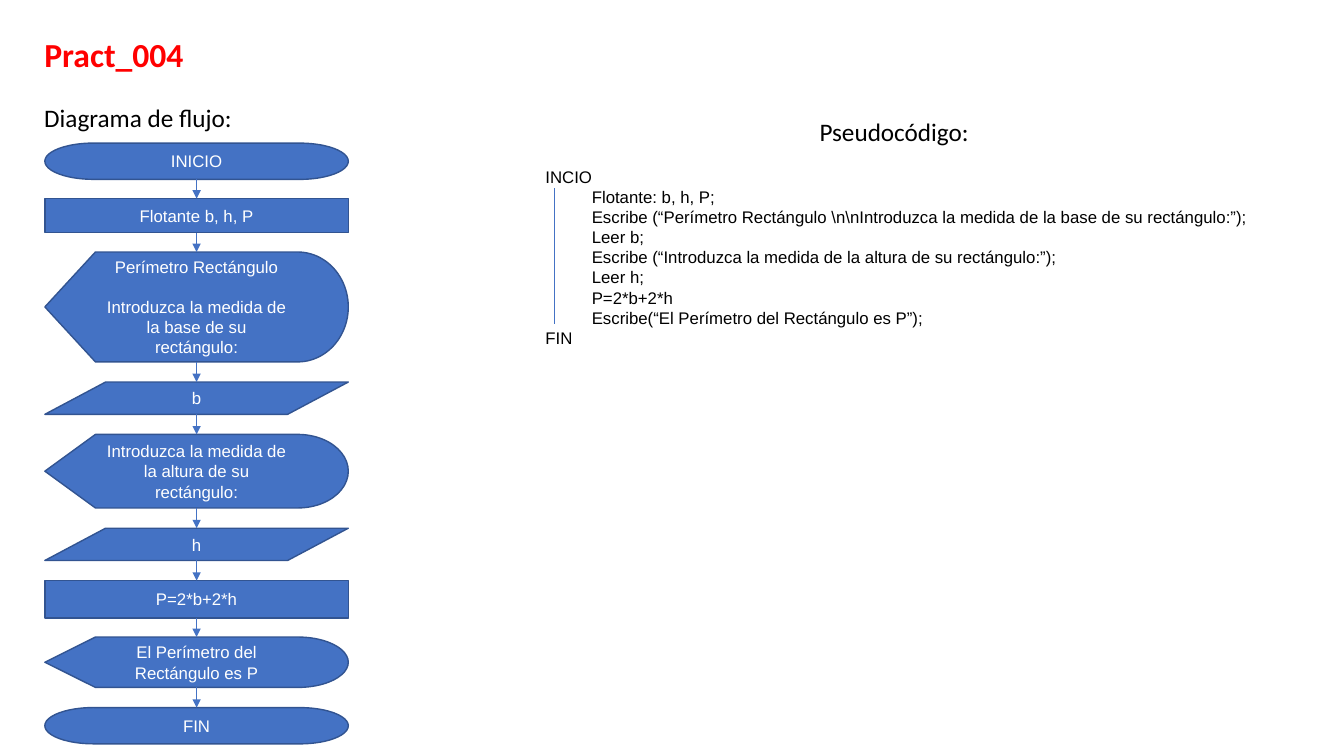
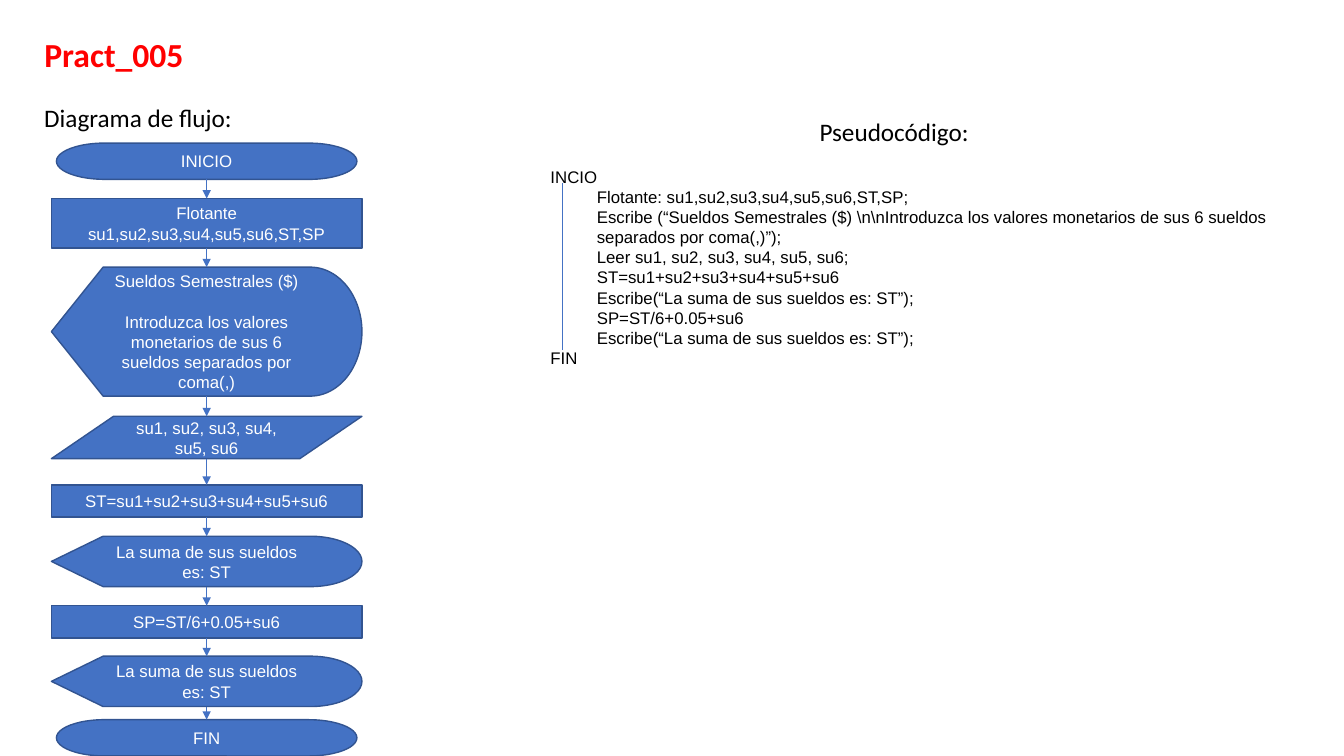
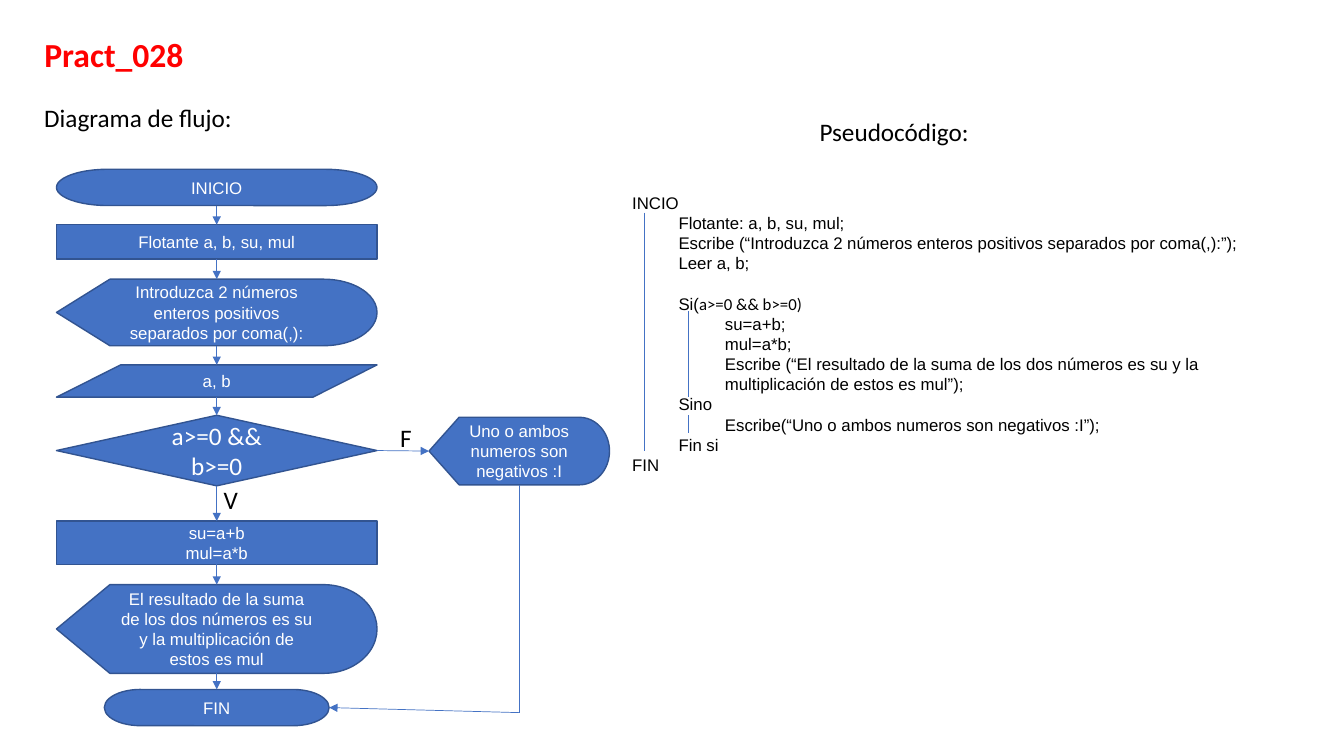
from dataclasses import dataclass
from itertools import pairwise

from lxml import etree
from pptx import Presentation
from pptx import util as u
from pptx.dml.color import RGBColor
from pptx.enum import shapes, text
from pptx.oxml.ns import qn

Kind = shapes.MSO_SHAPE
START_END = Kind.FLOWCHART_TERMINATOR
PROCESS = Kind.RECTANGLE
DISPLAY = Kind.FLOWCHART_DISPLAY
DATA = Kind.FLOWCHART_DATA
DECISION = Kind.FLOWCHART_DECISION
TOP, LEFT, BOTTOM, RIGHT = range(4)


@dataclass(frozen=True)
class Theme:
    red: RGBColor = RGBColor(0xFF, 0x00, 0x00)
    black: RGBColor = RGBColor(0x00, 0x00, 0x00)
    white: RGBColor = RGBColor(0xFF, 0xFF, 0xFF)
    blue: RGBColor = RGBColor(0x44, 0x72, 0xC4)
    outline: RGBColor = RGBColor(0x32, 0x54, 0x91)
    heading_font: str = "Calibri"
    code_font: str = "Arial"
    title_size: float = 24
    heading_size: float = 18
    code_size: float = 12
    blank_line: float = 14.4
    indent: float = 0.46


class Practice:
    """Builds practice slides with a flowchart and its pseudocode."""

    def __init__(self, deck, theme):
        self.deck, self.theme, self.slide = deck, theme, None

    def start(self, name):
        self.slide = self.deck.slides.add_slide(self.deck.slide_layouts[1])
        title = self.slide.shapes.title
        self.place(title, 0.34, 0.29, 3.4, 0.5)
        frame = self.frame(title)
        frame.paragraphs[0].alignment = text.PP_ALIGN.LEFT
        self.run(frame.paragraphs[0], name, self.theme.title_size,
                 self.theme.red, self.theme.heading_font, bold=True)
        self.label("Diagrama de flujo:", 0.34, 0.97)
        self.label("Pseudocódigo:", 8.03, 1.1)

    def place(self, part, left, top, width, height):
        part.left, part.top = u.Inches(left), u.Inches(top)
        part.width, part.height = u.Inches(width), u.Inches(height)

    def frame(self, part, anchor=text.MSO_ANCHOR.TOP):
        frame = part.text_frame
        frame.word_wrap = True
        frame.auto_size = text.MSO_AUTO_SIZE.NONE
        frame.vertical_anchor = anchor
        return frame

    def run(self, paragraph, words, size, color, font, bold=False):
        run = paragraph.add_run()
        run.text = words
        run.font.size, run.font.name = u.Pt(size), font
        run.font.bold, run.font.color.rgb = bold, color

    def paragraph(self, frame, index):
        return frame.add_paragraph() if index else frame.paragraphs[0]

    def label(self, words, left, top, width=4.47):
        box = self.slide.shapes.add_textbox(
            u.Inches(left), u.Inches(top), u.Inches(width), u.Inches(0.4))
        self.run(self.frame(box).paragraphs[0], words, self.theme.heading_size,
                 self.theme.black, self.theme.heading_font)

    def step(self, kind, center, top, width, height, lines, gap=0):
        step = self.slide.shapes.add_shape(
            kind, u.Inches(center - width / 2), u.Inches(top),
            u.Inches(width), u.Inches(height))
        step.shadow.inherit = False
        step.fill.solid()
        step.fill.fore_color.rgb = self.theme.blue
        step.line.color.rgb, step.line.width = self.theme.outline, u.Pt(1)
        size, font = self.theme.code_size, self.theme.code_font
        if kind == DECISION:
            size, font = self.theme.heading_size, self.theme.heading_font
        frame = self.frame(step, text.MSO_ANCHOR.MIDDLE)
        for index, words in enumerate(lines):
            paragraph = self.paragraph(frame, index)
            paragraph.alignment = text.PP_ALIGN.CENTER
            paragraph.space_before = u.Pt(gap if index else 0)
            self.run(paragraph, words, size, self.theme.white, font)
        return step

    def line(self, start, end, arrow=False):
        line = self.slide.shapes.add_connector(
            shapes.MSO_CONNECTOR.STRAIGHT, *map(u.Inches, start + end))
        line.line.color.rgb, line.line.width = self.theme.blue, u.Pt(0.5)
        etree.SubElement(line._element.spPr, qn("a:effectLst"))
        if arrow:
            etree.SubElement(line.line._get_or_add_ln(), qn("a:tailEnd"), type="triangle")
        return line

    def side(self, step, site):
        x = step.left + step.width * {LEFT: 0, RIGHT: 1}.get(site, 0.5)
        y = step.top + step.height * {TOP: 0, BOTTOM: 1}.get(site, 0.5)
        return u.Emu(int(x)).inches, u.Emu(int(y)).inches

    def arrow(self, source, target, leave=BOTTOM, enter=TOP):
        arrow = self.line(self.side(source, leave), self.side(target, enter), True)
        if source.auto_shape_type != DATA:
            arrow.begin_connect(source, leave)
        if target.auto_shape_type != DATA:
            arrow.end_connect(target, enter)

    def flow(self, center, width, steps, end_width=None):
        chain = []
        for kind, top, height, *lines in steps:
            span = end_width if end_width and kind == START_END else width
            gap = self.theme.blank_line if kind == DISPLAY else 0
            chain.append(self.step(kind, center, top, span, height, lines, gap))
        for source, target in pairwise(chain):
            self.arrow(source, target)
        return chain

    def code(self, left, top, width, height, lines):
        listing = self.slide.placeholders[1]
        self.place(listing, left, top, width, height)
        frame = self.frame(listing)
        for index, (level, words, *condition) in enumerate(lines):
            paragraph = self.paragraph(frame, index)
            gap = self.theme.blank_line if condition else 0
            paragraph.space_before = u.Pt(gap)
            properties = paragraph._p.get_or_add_pPr()
            properties.set("marL", str(u.Inches(level * self.theme.indent)))
            properties.set("indent", "0")
            etree.SubElement(properties, qn("a:buNone"))
            self.run(paragraph, words, self.theme.code_size,
                     self.theme.black, self.theme.code_font)
            for test in condition:
                self.run(paragraph, test, self.theme.code_size,
                         self.theme.black, self.theme.heading_font)


def rectangle_perimeter(page):
    page.start("Pract_004")
    page.flow(1.95, 3.01, [
        (START_END, 1.42, 0.36, "INICIO"),
        (PROCESS, 1.97, 0.34, "Flotante b, h, P"),
        (DISPLAY, 2.5, 1.09, "Perímetro Rectángulo",
         "Introduzca la medida de la base de su rectángulo:"),
        (DATA, 3.79, 0.32, "b"),
        (DISPLAY, 4.31, 0.73, "Introduzca la medida de la altura de su rectángulo:"),
        (DATA, 5.24, 0.32, "h"),
        (PROCESS, 5.76, 0.37, "P=2*b+2*h"),
        (DISPLAY, 6.32, 0.5, "El Perímetro del Rectángulo es P"),
        (START_END, 7.02, 0.36, "FIN"),
    ])
    page.code(5.31, 1.6, 7.77, 1.92, [
        (0, "INCIO"),
        (1, "Flotante: b, h, P;"),
        (1, "Escribe (“Perímetro Rectángulo \\n\\nIntroduzca la medida de la base "
            "de su rectángulo:”);"),
        (1, "Leer b;"),
        (1, "Escribe (“Introduzca la medida de la altura de su rectángulo:”);"),
        (1, "Leer h;"),
        (1, "P=2*b+2*h"),
        (1, "Escribe(“El Perímetro del Rectángulo es P”);"),
        (0, "FIN"),
    ])
    page.line((5.5, 1.87), (5.5, 3.21))


def half_year_salaries(page):
    page.start("Pract_005")
    page.flow(2.05, 3.08, [
        (START_END, 1.42, 0.36, "INICIO"),
        (PROCESS, 1.97, 0.49, "Flotante su1,su2,su3,su4,su5,su6,ST,SP"),
        (DISPLAY, 2.65, 1.28, "Sueldos Semestrales ($)",
         "Introduzca los valores monetarios de sus 6 sueldos separados por coma(,)"),
        (DATA, 4.13, 0.42, "su1, su2, su3, su4, su5, su6"),
        (PROCESS, 4.81, 0.32, "ST=su1+su2+su3+su4+su5+su6"),
        (DISPLAY, 5.32, 0.5, "La suma de sus sueldos es: ST"),
        (PROCESS, 6.01, 0.32, "SP=ST/6+0.05+su6"),
        (DISPLAY, 6.51, 0.5, "La suma de sus sueldos es: ST"),
        (START_END, 7.14, 0.36, "FIN"),
    ], end_width=2.98)
    page.code(5.36, 1.6, 7.77, 2.12, [
        (0, "INCIO"),
        (1, "Flotante: su1,su2,su3,su4,su5,su6,ST,SP;"),
        (1, "Escribe (“Sueldos Semestrales ($) \\n\\nIntroduzca los valores "
            "monetarios de sus 6 sueldos"),
        (1, "separados por coma(,)”);"),
        (1, "Leer su1, su2, su3, su4, su5, su6;"),
        (1, "ST=su1+su2+su3+su4+su5+su6"),
        (1, "Escribe(“La suma de sus sueldos es: ST”);"),
        (1, "SP=ST/6+0.05+su6"),
        (1, "Escribe(“La suma de sus sueldos es: ST”);"),
        (0, "FIN"),
    ])
    page.line((5.58, 1.82), (5.58, 3.47))


def sum_and_product(page):
    page.start("Pract_028")
    *_, test, _, _ = before_end = page.flow(2.15, 3.18, [
        (PROCESS, 2.23, 0.34, "Flotante a, b, su, mul"),
        (DISPLAY, 2.77, 0.66,
         "Introduzca 2 números enteros positivos separados por coma(,):"),
        (DATA, 3.62, 0.32, "a, b"),
        (DECISION, 4.12, 0.7, "a>=0 && b>=0"),
        (PROCESS, 5.17, 0.43, "su=a+b", "mul=a*b"),
        (DISPLAY, 5.8, 0.88, "El resultado de la suma de los dos números es su "
                             "y la multiplicación de estos es mul"),
    ])
    start = page.step(START_END, 2.15, 1.68, 3.18, 0.36, ["INICIO"])
    end = page.step(START_END, 2.15, 6.84, 2.23, 0.36, ["FIN"])
    page.arrow(start, before_end[0])
    page.arrow(before_end[-1], end)
    negative = page.step(DISPLAY, 5.15, 4.14, 1.79, 0.67,
                         ["Uno o ambos numeros son negativos :I"])
    page.arrow(test, negative, RIGHT, LEFT)
    corner = (5.15, 7.07)
    page.line(page.side(negative, BOTTOM), corner).begin_connect(negative, BOTTOM)
    page.line(corner, page.side(end, RIGHT), True).end_connect(end, RIGHT)
    page.label("F", 3.87, 4.14, 0.26)
    page.label("V", 2.12, 4.76, 0.26)
    page.code(6.17, 1.86, 7.03, 2.93, [
        (0, "INCIO"),
        (1, "Flotante: a, b, su, mul;"),
        (1, "Escribe (“Introduzca 2 números enteros positivos separados por coma(,):”);"),
        (1, "Leer a, b;"),
        (1, "Si(", "a>=0 && b>=0)"),
        (2, "su=a+b;"),
        (2, "mul=a*b;"),
        (2, "Escribe (“El resultado de la suma de los dos números es su y la"),
        (2, "multiplicación de estos es mul”);"),
        (1, "Sino"),
        (2, "Escribe(“Uno o ambos numeros son negativos :I”);"),
        (1, "Fin si"),
        (0, "FIN"),
    ])
    for x, top, bottom in [(6.39, 2.11, 4.47), (6.83, 3.09, 3.94), (6.83, 4.12, 4.3)]:
        page.line((x, top), (x, bottom))


def main():
    deck = Presentation()
    deck.slide_width, deck.slide_height = u.Inches(13.33), u.Inches(7.5)
    page = Practice(deck, Theme())
    for build in (rectangle_perimeter, half_year_salaries, sum_and_product):
        build(page)
    deck.save("out.pptx")


if __name__ == "__main__":
    main()
